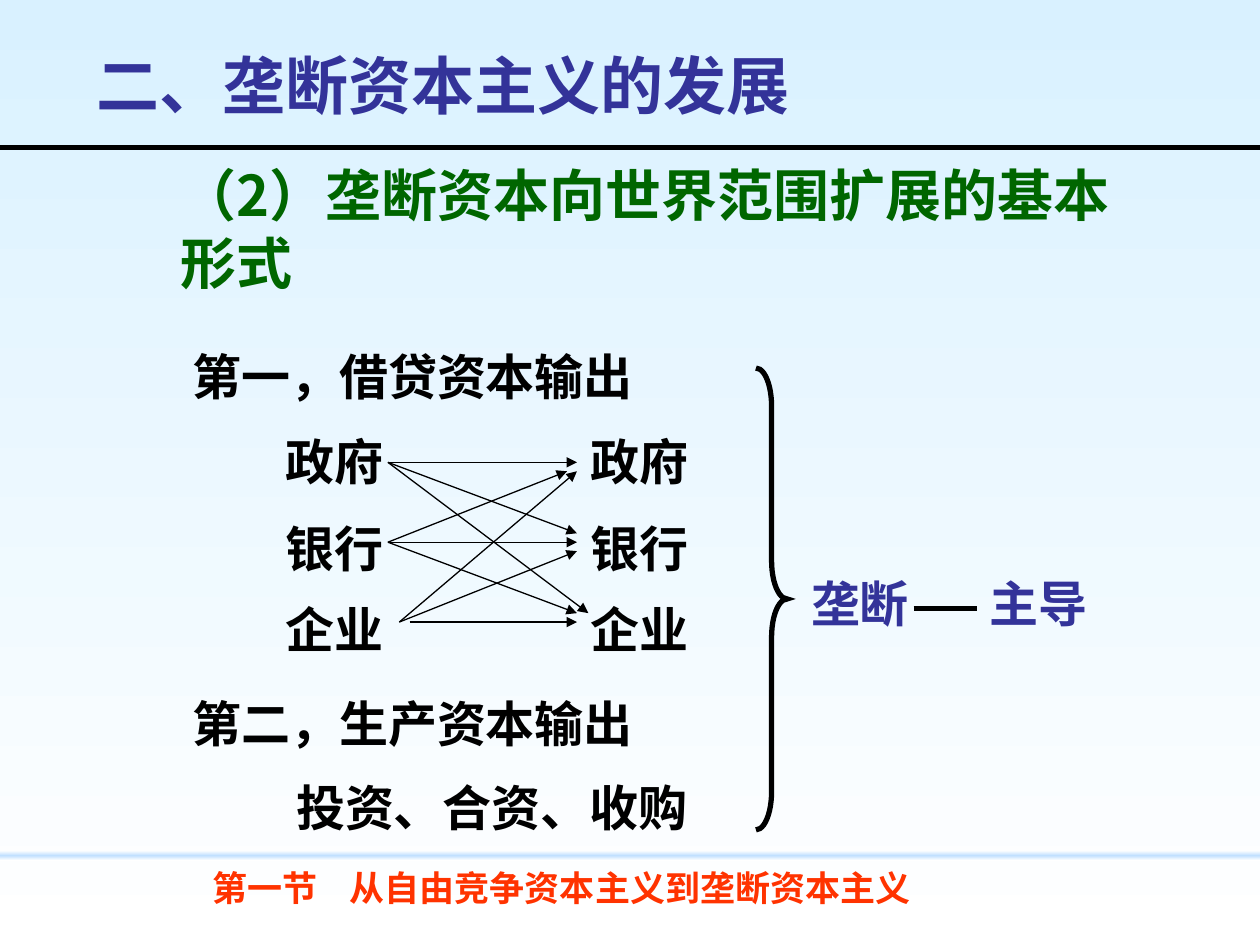
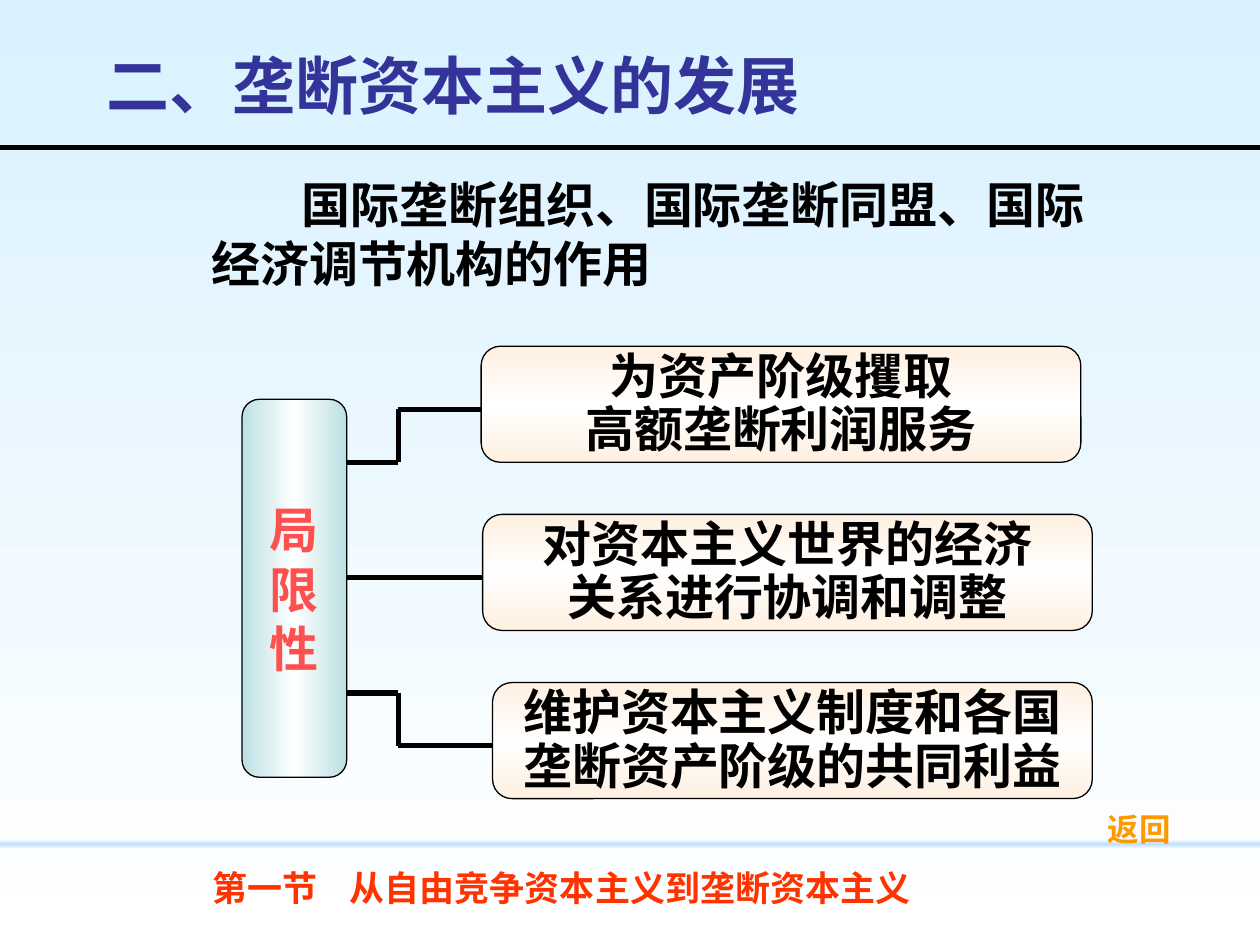
"""Build two slides on the development of monopoly capitalism."""
from copy import deepcopy
from dataclasses import dataclass
from itertools import product

from lxml.etree import SubElement
from pptx import Presentation
from pptx.dml.color import RGBColor
from pptx.enum.shapes import MSO_CONNECTOR, MSO_SHAPE
from pptx.enum.text import MSO_ANCHOR, PP_ALIGN
from pptx.oxml.ns import qn
from pptx.util import Cm, Pt


@dataclass(frozen=True)
class Theme:
    """Colours, type sizes and fonts of the deck."""
    latin: str = "Arial"
    asian: str = "Noto Sans CJK SC"
    ink: str = "000000"
    title: str = "333399"
    heading: str = "006600"
    footer: str = "FF3300"
    pillar_text: str = "FF5050"
    link: str = "FF9900"
    sky: tuple = ("D9F1FF", "FFFFFF")
    band: tuple = ("FFFFFF", "C1E0FF", "FFFFFF")
    pillar: tuple = ("BBE0E3", "FFFFFF", "BBE0E3")
    card: tuple = ("FFF0E1", "FFFFFF", "FFF0E1")
    title_size: int = 36
    heading_size: int = 32
    body_size: int = 28
    footer_size: int = 20
    link_size: int = 18
    line_height: float = 1.21
    thin: float = 0.75
    thick: float = 3


THEME = Theme()
WIDTH, HEIGHT = 25.4, 19.05
PARTIES = ("政府", "银行", "企业")


def paint_gradient(fill, holder, colours, angle=270):
    """Fill with evenly spaced colour stops."""
    fill.gradient()
    fill.gradient_angle = angle
    stop_list = holder.find(".//" + qn("a:gsLst"))
    while len(stop_list) < len(colours):
        stop_list.append(deepcopy(stop_list[-1]))
    for index, (stop, colour) in enumerate(zip(fill.gradient_stops, colours)):
        stop.position = index / (len(colours) - 1)
        stop.color.rgb = RGBColor.from_string(colour)


def write_text(shape, text, size=THEME.body_size, colour=THEME.ink, latin=THEME.latin,
               align=PP_ALIGN.LEFT, anchor=MSO_ANCHOR.TOP, spacing=1, wrap=False,
               indent=None, tab=None):
    """Write one bold paragraph per line of text into a shape."""
    frame = shape.text_frame
    frame.word_wrap = wrap
    frame.vertical_anchor = anchor
    for index, line in enumerate(text.split("\n")):
        para = frame.add_paragraph() if index else frame.paragraphs[0]
        para.alignment = align
        para.line_spacing = Pt(round(size * THEME.line_height * spacing, 1))
        properties = para._p.get_or_add_pPr()
        if indent:
            properties.set("indent", str(Cm(indent)))
        if tab:
            tabs = SubElement(properties, qn("a:tabLst"))
            SubElement(tabs, qn("a:tab"), pos=str(Cm(tab)), algn="l")
        span = para.add_run()
        span.text = line
        span.font.size = Pt(size)
        span.font.bold = True
        span.font.color.rgb = RGBColor.from_string(colour)
        span.font.name = latin
        SubElement(span._r.get_or_add_rPr(), qn("a:ea"), typeface=THEME.asian)


def add_text(page, text, left, top, width, height, **style):
    """Add a text box."""
    box = page.shapes.add_textbox(Cm(left), Cm(top), Cm(width), Cm(height))
    write_text(box, text, **style)
    return box


def add_panel(page, kind, left, top, width, height, colours=None, angle=270, outline=None):
    """Add a preset shape with an optional gradient and outline."""
    shape = page.shapes.add_shape(kind, Cm(left), Cm(top), Cm(width), Cm(height))
    shape.shadow.inherit = False
    if colours:
        paint_gradient(shape.fill, shape._element, colours, angle)
    else:
        shape.fill.background()
    if outline:
        shape.line.color.rgb = RGBColor.from_string(THEME.ink)
        shape.line.width = Pt(outline)
    else:
        shape.line.fill.background()
    return shape


def add_line(page, start, end, weight=THEME.thick, arrow=False):
    """Add a straight connector between two points."""
    line = page.shapes.add_connector(MSO_CONNECTOR.STRAIGHT, *map(Cm, start + end))
    line.line.color.rgb = RGBColor.from_string(THEME.ink)
    line.line.width = Pt(weight)
    if arrow:
        SubElement(line.line._get_or_add_ln(), qn("a:tailEnd"), type="triangle")
    SubElement(line._element.spPr, qn("a:effectLst"))
    return line


def add_page(deck, title_left, band_top):
    """Add a slide with background, title, rule, band and footer."""
    page = deck.slides.add_slide(deck.slide_layouts[6])
    paint_gradient(page.background.fill, page._element, THEME.sky)
    add_panel(page, MSO_SHAPE.RECTANGLE, 0, band_top, WIDTH, 0.2, THEME.band)
    add_text(page, "第一节\t从自由竞争资本主义到垄断资本主义", 4.03, 17.35, 21.3, 1.07,
             size=THEME.footer_size, colour=THEME.footer, anchor=MSO_ANCHOR.MIDDLE, tab=2.77)
    add_text(page, "二、垄断资本主义的发展", title_left, 0.64, 21.59, 2.11,
             size=THEME.title_size, colour=THEME.title, anchor=MSO_ANCHOR.MIDDLE)
    add_line(page, (0, 2.97), (WIDTH, 2.97))
    return page


def add_lending_arrows(page):
    """Link every lender to every borrower."""
    starts = {(2, 0): 8.05, (2, 1): 8.05, (2, 2): 8.26}
    ends = {(0, 2): 11.86, (1, 0): 11.43}
    for lender, borrower in product(range(len(PARTIES)), repeat=2):
        pair = lender, borrower
        side = (lender > borrower) - (lender < borrower)
        add_line(page, (starts.get(pair, 7.82), 9.32 + 1.61 * lender),
                 (ends.get(pair, 11.63), 9.32 + 1.61 * borrower + 0.18 * side),
                 weight=THEME.thin, arrow=True)


def build_forms_page(deck):
    """Build the slide on forms of expansion."""
    page = add_page(deck, 1.7, 17.15)
    add_text(page, "（2）垄断资本向世界范围扩展的基本\n形式", 3.38, 3.1, 20.52, 2.97,
             size=THEME.heading_size, colour=THEME.heading, latin=THEME.asian, wrap=True)
    for text, top in (("第一，借贷资本输出", 6.55), ("第二，生产资本输出", 13.54)):
        add_text(page, text, 3.63, top, 9.8, 1.75, spacing=1.25)
    for left in (5.51, 11.66):
        for party, top in zip(PARTIES, (8.26, 10.03, 11.66)):
            add_text(page, party, left, top, 2.8, 1.75, spacing=1.25)
    add_lending_arrows(page)
    add_text(page, "投资、合资、收购", 5.72, 15.24, 8.89, 1.75,
             latin=THEME.asian, spacing=1.25, wrap=True)
    brace = add_panel(page, MSO_SHAPE.RIGHT_BRACE, 15.24, 7.42, 0.63, 9.31, outline=THEME.thick)
    brace.adjustments[0] = 1.22
    SubElement(brace.line._get_or_add_ln(), qn("a:miter"), lim="800000")
    for text, left in (("垄断", 16.1), ("主导", 19.69)):
        add_text(page, text, left, 11.43, 2.8, 1.45, colour=THEME.title)
    add_line(page, (18.42, 12.27), (19.69, 12.27))


def add_branch(page, start, end):
    """Draw a branch from the pillar to a card, with a step if needed."""
    corners = [start, end]
    if start[1] != end[1]:
        bend = 8.03
        corners[1:1] = [(bend, start[1]), (bend, end[1])]
    for near, far in zip(corners, corners[1:]):
        add_line(page, near, far)


def build_limits_page(deck):
    """Build the slide on the limits of international bodies."""
    page = add_page(deck, 1.9, 16.92)
    add_text(page, "国际垄断组织、国际垄断同盟、国际经济调节机构的作用",
             4.01, 3.38, 18.21, 2.64, wrap=True, indent=1.82)
    centred = {"align": PP_ALIGN.CENTER, "anchor": MSO_ANCHOR.MIDDLE}
    pillar = add_panel(page, MSO_SHAPE.ROUNDED_RECTANGLE, 4.88, 8.05, 2.11, 7.62,
                       THEME.pillar, angle=0, outline=THEME.thin)
    write_text(pillar, "局\n限\n性", colour=THEME.pillar_text, **centred)
    cards = (
        ("为资产阶级攫取\n高额垄断利润服务", 9.7, 12.09, 9.32),
        ("对资本主义世界的经济\n关系进行协调和调整", 9.73, 12.29, 11.64),
        ("维护资本主义制度和各国\n垄断资产阶级的共同利益", 9.93, 12.09, 13.97),
    )
    for index, (text, left, width, branch_start) in enumerate(cards):
        top = 6.98 + 3.39 * index
        card = add_panel(page, MSO_SHAPE.ROUNDED_RECTANGLE, left, top, width, 2.34,
                         THEME.card, outline=THEME.thin)
        write_text(card, text, spacing=0.9, **centred)
        add_branch(page, (6.99, branch_start), (left, round(top + 1.27, 2)))
    add_text(page, "返回", 21.97, 16.08, 2, 1.27,
             size=THEME.link_size, colour=THEME.link, **centred)


def main():
    """Build and save the deck."""
    deck = Presentation()
    deck.slide_width, deck.slide_height = Cm(WIDTH), Cm(HEIGHT)
    build_forms_page(deck)
    build_limits_page(deck)
    deck.save("out.pptx")


if __name__ == "__main__":
    main()
